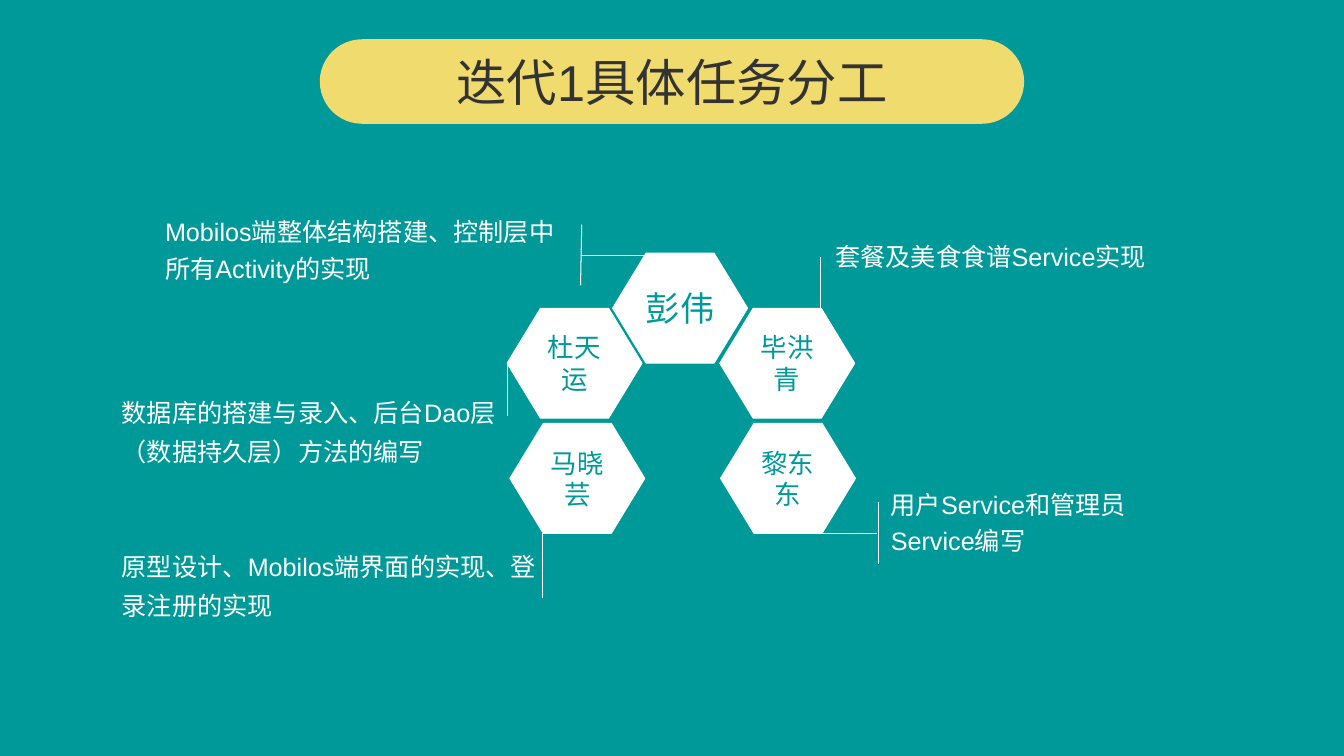
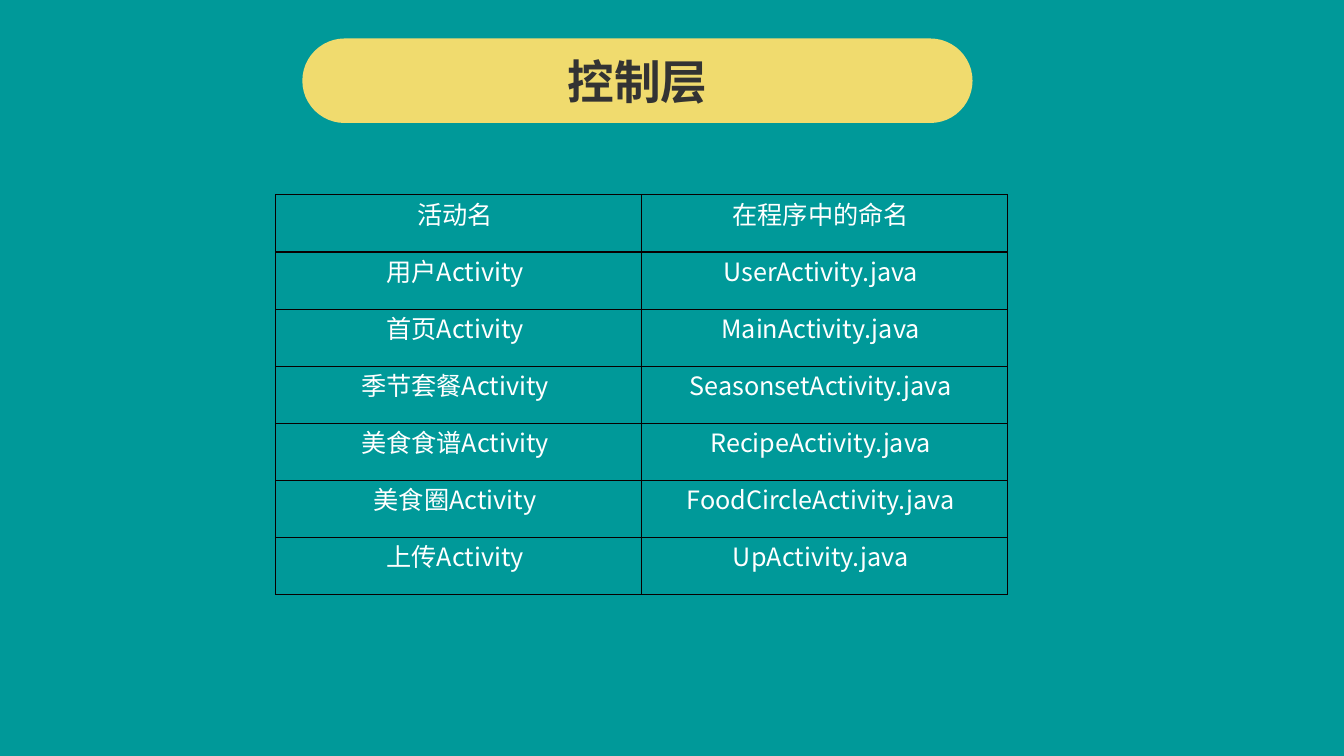
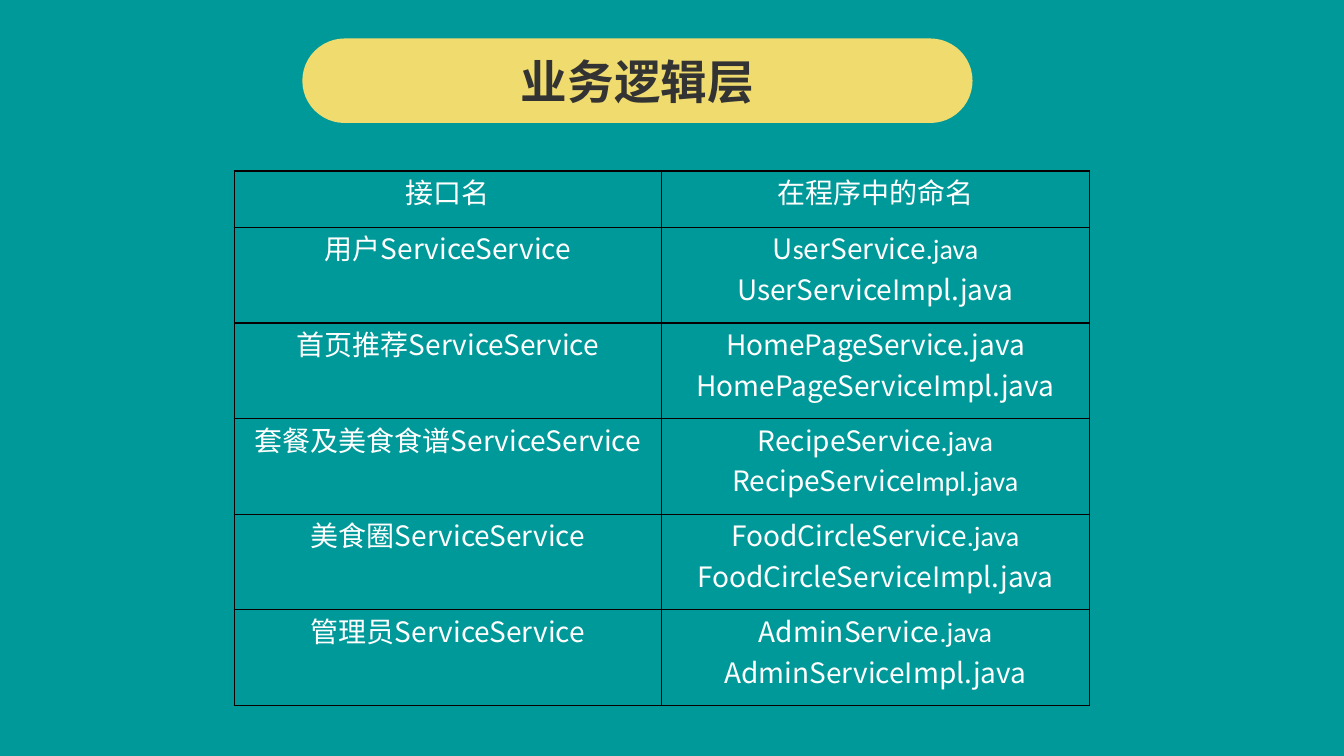
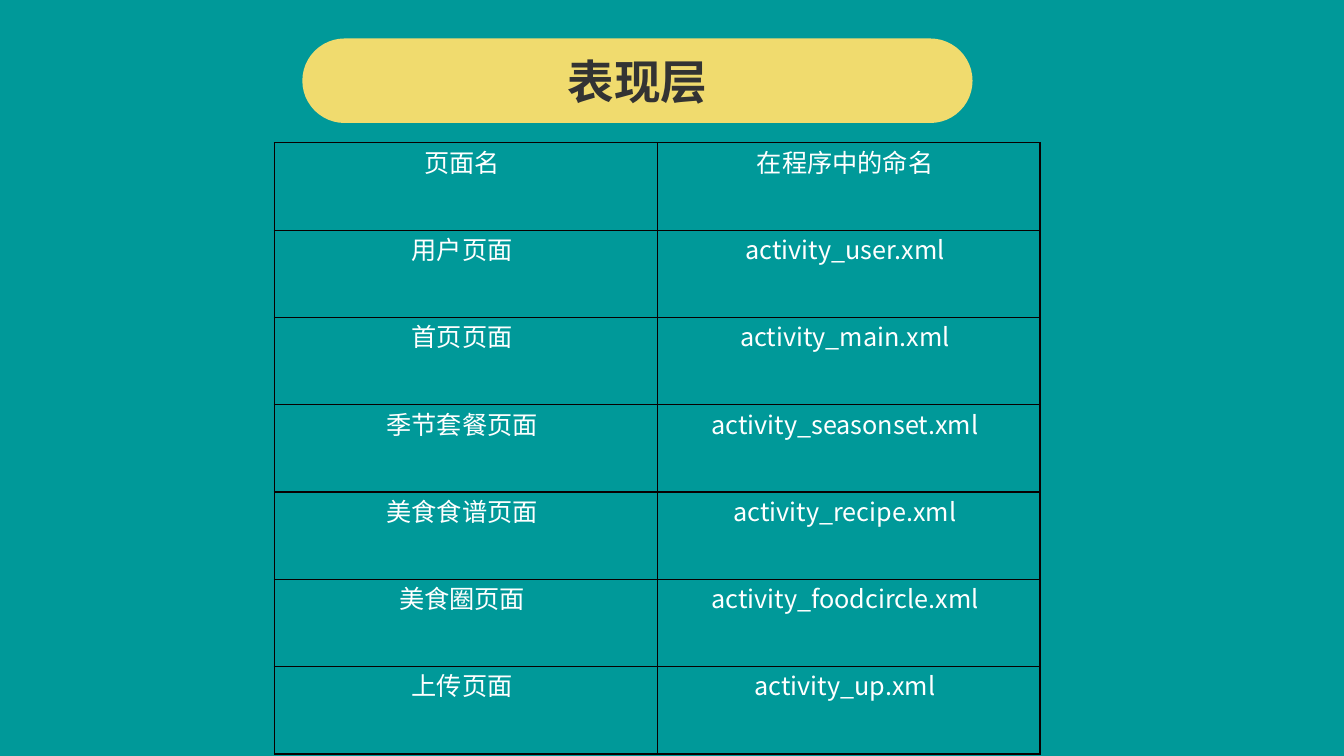
from lxml.etree import SubElement
from pptx import Presentation
from pptx.dml.color import RGBColor
from pptx.enum.shapes import MSO_CONNECTOR, MSO_SHAPE
from pptx.enum.text import MSO_ANCHOR, MSO_AUTO_SIZE, PP_ALIGN
from pptx.oxml import parse_xml
from pptx.oxml.ns import nsdecls, qn
from pptx.util import Cm, Pt

HUES = {"teal": "009999", "gold": "F0DB6E", "dark": "333333",
        "white": "FFFFFF", "rule": "080000"}
SANS, CJK, ALT = "Arial", "Noto Sans CJK SC", "Calibri"
HEX_W, HEX_H = 3.4, 2.77

# Team: name, left, top, text size
TEAM = [
    ("彭伟", 15.44, 6.38, 24.5),
    ("毕洪青", 18.14, 7.77, 18.9),
    ("黎东东", 18.16, 10.67, 18.9),
    ("杜天运", 12.78, 7.77, 18.9),
    ("马晓芸", 12.85, 10.67, 18.9),
]
# Leader lines: x1, y1, x2, y2
LEADS = [
    (14.63, 7.19, 14.66, 5.66),
    (14.63, 6.43, 17.25, 6.43),
    (20.68, 7.85, 20.68, 6.48),
    (19.2, 13.44, 22.1, 13.44),
    (22.15, 14.2, 22.15, 12.65),
    (12.8, 10.49, 12.8, 9.12),
    (13.67, 15.06, 13.67, 13.08),
]
# Tasks: text, box, line spacing, anchor
MID, TOP = MSO_ANCHOR.MIDDLE, MSO_ANCHOR.TOP
TASKS = [
    ("Mobilos端整体结构搭建、控制层中所有Activity的实现",
     (3.91, 4.67, 10.72, 3.1), 1.2, MID),
    ("数据库的搭建与录入、后台Dao层（数据持久层）方法的编写",
     (2.82, 8.86, 10.01, 3.81), 1.3, MID),
    ("原型设计、Mobilos端界面的实现、登录注册的实现",
     (2.82, 13.54, 11.13, 4.17), 1.3, TOP),
    ("套餐及美食食谱Service实现", (20.8, 4.7, 9.25, 3.38), 1.2, MID),
    ("用户Service和管理员Service编写", (22.2, 11.4, 8.2, 3.38), 1.2, MID),
]
# Table rows; "|" switches between the main and the second font
CONTROL = [
    ("活动名", "在程序中的命名"),
    ("用户Activity", "UserActivity.java"),
    ("首页Activity", "MainActivity.java"),
    ("季节套餐Activity", "SeasonsetActivity.java"),
    ("美食食谱Activity", "RecipeActivity.java"),
    ("美食圈Activity", "FoodCircleActivity.java"),
    ("上传Activity", "UpActivity.java"),
]
LOGIC = [
    ("接口名", "在程序中的命名"),
    ("用户ServiceService", "U|s|erService|.java\nUserServiceImpl.java"),
    ("首页推荐ServiceService", "HomePageService.java\nHomePageServiceImpl.java"),
    ("套餐及美食食谱ServiceService", "RecipeService|.java\nRecipeService|Impl.java"),
    ("美食圈ServiceService", "FoodCircleService|.java\nFoodCircleServiceImpl.java"),
    ("管理员ServiceService", "AdminService|.java\nAdminServiceImpl.java"),
]
VIEW = [
    ("页面名", "在程序中的命名"),
    ("用户页面", "activity_user.xml"),
    ("首页页面", "activity_main.xml"),
    ("季节套餐页面", "activity_seasonset.xml"),
    ("美食食谱页面", "activity_recipe.xml"),
    ("美食圈页面", "activity_foodcircle.xml"),
    ("上传页面", "activity_up.xml"),
]


def hue(name):
    return RGBColor.from_string(HUES[name])


def write(frame, text, size, tint, font=SANS, east=SANS, bold=False,
          align=PP_ALIGN.CENTER):
    """Fill a text frame, run by run."""
    for row, line in enumerate(text.split("\n")):
        para = frame.add_paragraph() if row else frame.paragraphs[0]
        para.alignment = align
        for turn, part in enumerate(line.split("|")):
            run = para.add_run()
            run.text = part
            run.font.size = Pt(size)
            run.font.bold = bold
            run.font.color.rgb = hue(tint)
            run.font.name = ALT if turn % 2 else font
            SubElement(run.font._element, qn("a:ea")).set("typeface", east)


def inset(item, left, top, right, bottom):
    item.margin_left, item.margin_top = Cm(left), Cm(top)
    item.margin_right, item.margin_bottom = Cm(right), Cm(bottom)


def shape(slide, kind, box, fill, adjust):
    item = slide.shapes.add_shape(kind, *map(Cm, box))
    item.shadow.inherit = False
    item.fill.solid()
    item.fill.fore_color.rgb = hue(fill)
    item.line.fill.background()
    item.adjustments[0] = adjust
    return item


def page(deck, title, box=(7.62, 0.97, 16.89, 2.13), size=33.3,
         bold=True, east=CJK):
    """Add a slide with its title on a gold pill."""
    slide = deck.slides.add_slide(deck.slide_layouts[5])
    pill = shape(slide, MSO_SHAPE.ROUNDED_RECTANGLE, box, "gold", 0.5)
    head = slide.shapes.title
    head._element.addprevious(pill._element)
    head.left, head.top, head.width, head.height = map(Cm, box)
    frame = head.text_frame
    frame.auto_size = MSO_AUTO_SIZE.NONE
    frame.vertical_anchor = MID
    inset(frame, 0, 0, 0, 0)
    write(frame, title, size, "dark", east=east, bold=bold)
    return slide


def member(slide, name, left, top, size):
    item = shape(slide, MSO_SHAPE.HEXAGON, (left, top, HEX_W, HEX_H),
                 "white", 0.304)
    item.line.color.rgb = hue("white")
    item.line.width = Pt(0.75)
    item.text_frame.word_wrap = True
    item.text_frame.vertical_anchor = MID
    write(item.text_frame, name, size, "teal")


def lead(slide, ends):
    line = slide.shapes.add_connector(MSO_CONNECTOR.STRAIGHT, *map(Cm, ends))
    line.line.color.rgb = hue("white")
    line.line.width = Pt(0.75)
    SubElement(line._element.spPr, qn("a:effectLst"))


def task(slide, text, box, gap, anchor):
    frame = slide.shapes.add_textbox(*map(Cm, box)).text_frame
    frame.word_wrap = True
    frame.vertical_anchor = anchor
    write(frame, text, 18, "white", align=PP_ALIGN.LEFT)
    para = frame.paragraphs[0]
    para.line_spacing = gap
    para.space_before = Pt(3.6)


def border(cell):
    props = cell._tc.get_or_add_tcPr()
    for spot, side in enumerate(("lnL", "lnR", "lnT", "lnB")):
        props.insert(spot, parse_xml(
            f'<a:{side} {nsdecls("a")} w="{Pt(1)}"><a:solidFill>'
            f'<a:srgbClr val="{HUES["rule"]}"/></a:solidFill></a:{side}>'))


def table(slide, rows, left, top, width, highs, size, pads):
    """Draw a ruled two-column table; highs holds the row heights."""
    grid = slide.shapes.add_table(len(rows), 2, Cm(left), Cm(top),
                                  Cm(width), Cm(sum(highs))).table
    grid.first_row = grid.horz_banding = False
    for y, (row, high) in enumerate(zip(rows, highs)):
        grid.rows[y].height = Cm(high)
        for x, text in enumerate(row):
            cell = grid.cell(y, x)
            inset(cell, *pads)
            cell.fill.background()
            border(cell)
            write(cell.text_frame, text, size, "white", CJK, CJK)


def main():
    deck = Presentation()
    deck.slide_width, deck.slide_height = Cm(33.87), Cm(19.05)
    back = deck.slide_master.background.fill
    back.solid()
    back.fore_color.rgb = hue("teal")

    # Team and tasks
    slide = page(deck, "迭代1具体任务分工", (8.06, 0.99, 17.75, 2.13),
                 36, False, SANS)
    for item in TEAM:
        member(slide, *item)
    for ends in LEADS:
        lead(slide, ends)
    for item in TASKS:
        task(slide, *item)

    # Layers of the program
    slim = (0, 0, 0.18, 0)
    table(page(deck, "控制层"), CONTROL, 6.95, 4.91, 18.43,
          [1.44] * 7, 18, slim)
    table(page(deck, "业务逻辑层"), LOGIC, 5.9, 4.31, 21.55,
          [1.42] + [2.26] * 5, 20, (0.18, 0, 0.18, 0.36))
    table(page(deck, "表现层"), VIEW, 6.91, 3.6, 19.3,
          [2.2] * 7, 18, slim)
    deck.save("out.pptx")


if __name__ == "__main__":
    main()
